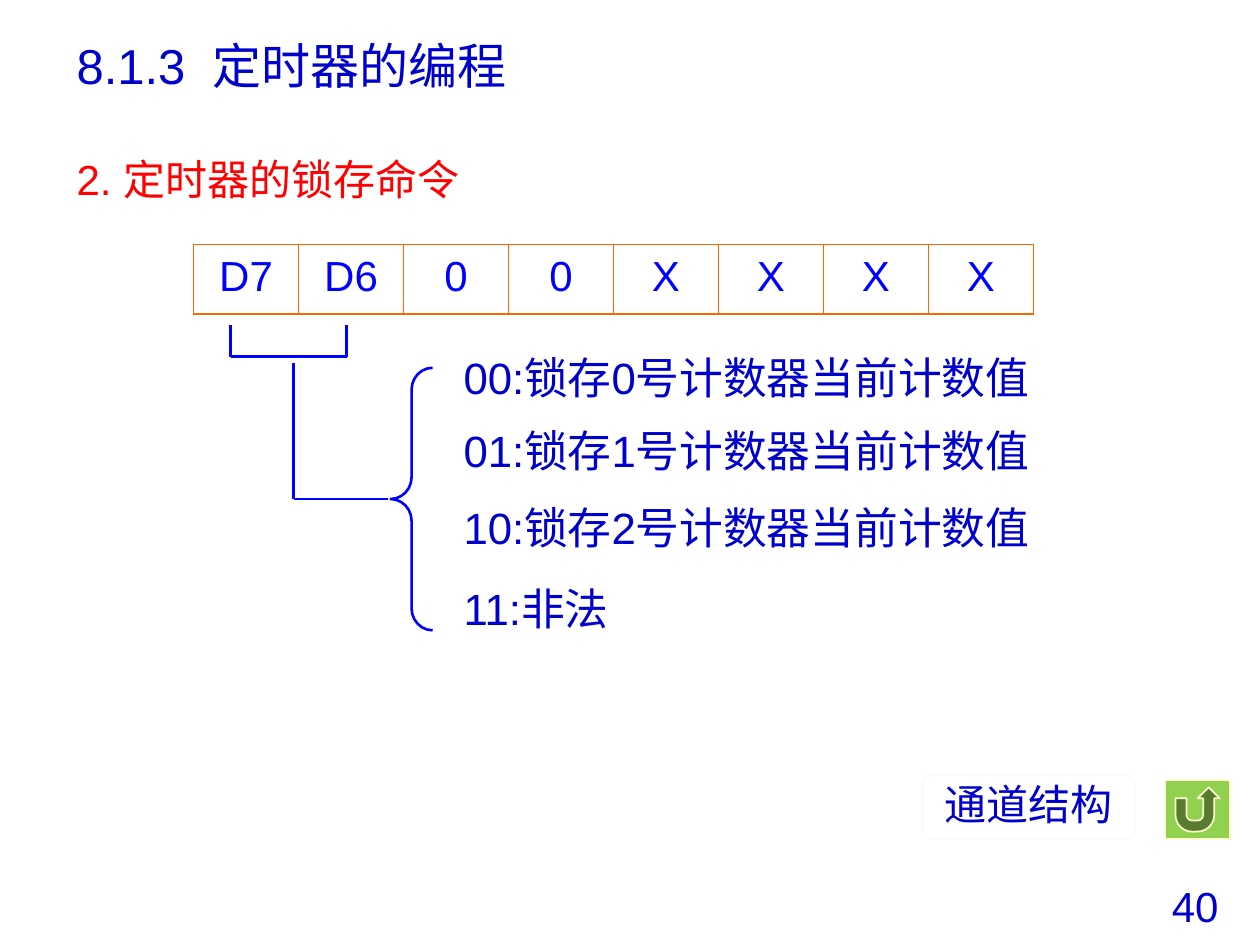
"""Build the slide on the timer counter latch command."""
from lxml import etree
from pptx import Presentation
from pptx.dml.color import RGBColor
from pptx.enum.shapes import MSO_CONNECTOR, MSO_SHAPE
from pptx.enum.text import MSO_ANCHOR, PP_ALIGN
from pptx.oxml.ns import qn
from pptx.util import Pt

STRAIGHT = MSO_CONNECTOR.STRAIGHT
LEFT_BRACE = MSO_SHAPE.LEFT_BRACE
ROUNDED = MSO_SHAPE.ROUNDED_RECTANGLE
RETURN_BUTTON = MSO_SHAPE.ACTION_BUTTON_RETURN
MIDDLE, BOTTOM = MSO_ANCHOR.MIDDLE, MSO_ANCHOR.BOTTOM
LEFT, CENTER = PP_ALIGN.LEFT, PP_ALIGN.CENTER
LATIN, CHINESE = "Arial", "Noto Sans CJK SC"
NAVY, BLUE, RED, ORANGE = "0000CC", "0000FF", "FF0000", "FF6600"


def rgb(value):
    return RGBColor.from_string(value)


def write(holder, text, size, color, align=LEFT, spacing=0.9, font=LATIN):
    frame = holder.text_frame
    frame.text = text
    frame.word_wrap = True
    paragraph = frame.paragraphs[0]
    paragraph.alignment = align
    paragraph.line_spacing = spacing
    for run in paragraph.runs:
        run.font.size = Pt(size)
        run.font.name = font
        run.font.color.rgb = rgb(color)
        east_asian = etree.SubElement(run.font._element, qn("a:ea"))
        east_asian.set("typeface", CHINESE)
    frame.vertical_anchor = MIDDLE
    return frame


deck = Presentation()
deck.slide_width, deck.slide_height = Pt(720), Pt(540)
slide = deck.slides.add_slide(deck.slide_layouts[6])
shapes = slide.shapes

title = shapes.add_textbox(Pt(36.7), Pt(12.2), Pt(498), Pt(41.8))
title_frame = write(title, "8.1.3\t定时器的编程", 28, NAVY, spacing=1.0)
title_frame.vertical_anchor = BOTTOM
title_frame.margin_top = title_frame.margin_bottom = 0
tab_stops = etree.SubElement(title_frame.paragraphs[0]._p.get_or_add_pPr(), qn("a:tabLst"))
etree.SubElement(tab_stops, qn("a:tab"), pos=str(Pt(77.8)), algn="l")

heading = shapes.add_textbox(Pt(36.7), Pt(80.6), Pt(629.3), Pt(36))
write(heading, "2. 定时器的锁存命令", 24, RED, spacing=1.25)

page_number = shapes.add_textbox(Pt(654.5), Pt(502.5), Pt(57), Pt(34))
write(page_number, "40", 24, NAVY, CENTER)

bits = ["D7", "D6", "0", "0", "X", "X", "X", "X"]
command_word = shapes.add_table(1, len(bits), Pt(110.6), Pt(139.7), Pt(480), Pt(39.6)).table
command_word.first_row = command_word.horz_banding = False
for column, bit in enumerate(bits):
    cell = command_word.cell(0, column)
    write(cell, bit, 24, BLUE, CENTER)
    cell.vertical_anchor = MIDDLE
    properties = cell._tc.get_or_add_tcPr()
    for side in ("lnL", "lnR", "lnT", "lnB"):
        border = etree.SubElement(properties, qn(f"a:{side}"), w=str(Pt(1)))
        border_fill = etree.SubElement(border, qn("a:solidFill"))
        etree.SubElement(border_fill, qn("a:srgbClr"), val=ORANGE)
    cell.fill.background()

selector_paths = [
    [(131.8, 185.8), (131.8, 203.8), (198, 203.8), (198, 185.8)],
    [(167.8, 207.4), (167.8, 285.1), (222, 285.1)],
]
for corners in selector_paths:
    for (x1, y1), (x2, y2) in zip(corners, corners[1:]):
        segment = shapes.add_connector(STRAIGHT, Pt(x1), Pt(y1), Pt(x2), Pt(y2))
        segment.line.color.rgb = rgb(BLUE)
        segment.line.width = Pt(1.5)
        etree.SubElement(segment._element.spPr, qn("a:effectLst"))

brace = shapes.add_shape(LEFT_BRACE, Pt(223.2), Pt(210.2), Pt(24), Pt(150))
brace.adjustments[0] = 0.52
brace.shadow.inherit = False
brace.fill.background()
brace.line.color.rgb = rgb(BLUE)
brace.line.width = Pt(1.5)

options = [
    (200, "00:锁存0号计数器当前计数值"),
    (242, "01:锁存1号计数器当前计数值"),
    (286, "10:锁存2号计数器当前计数值"),
    (332, "11:非法"),
]
for top, meaning in options:
    option = shapes.add_textbox(Pt(257.8), Pt(top), Pt(360), Pt(34.6))
    write(option, meaning, 25, NAVY)

return_button = shapes.add_shape(RETURN_BUTTON, Pt(666), Pt(445.7), Pt(36.7), Pt(33.8))
channel_button = shapes.add_shape(ROUNDED, Pt(527), Pt(442.8), Pt(121.7), Pt(36.7))
for button, fill, outline, width in [
    (return_button, "92D050", "FFFFCC", 1),
    (channel_button, "FFFFFF", "F9F9F9", 0.75),
]:
    button.shadow.inherit = False
    button.fill.solid()
    button.fill.fore_color.rgb = rgb(fill)
    button.line.color.rgb = rgb(outline)
    button.line.width = Pt(width)
write(channel_button, "通道结构", 24, NAVY, CENTER, font=CHINESE)

deck.save("out.pptx")
